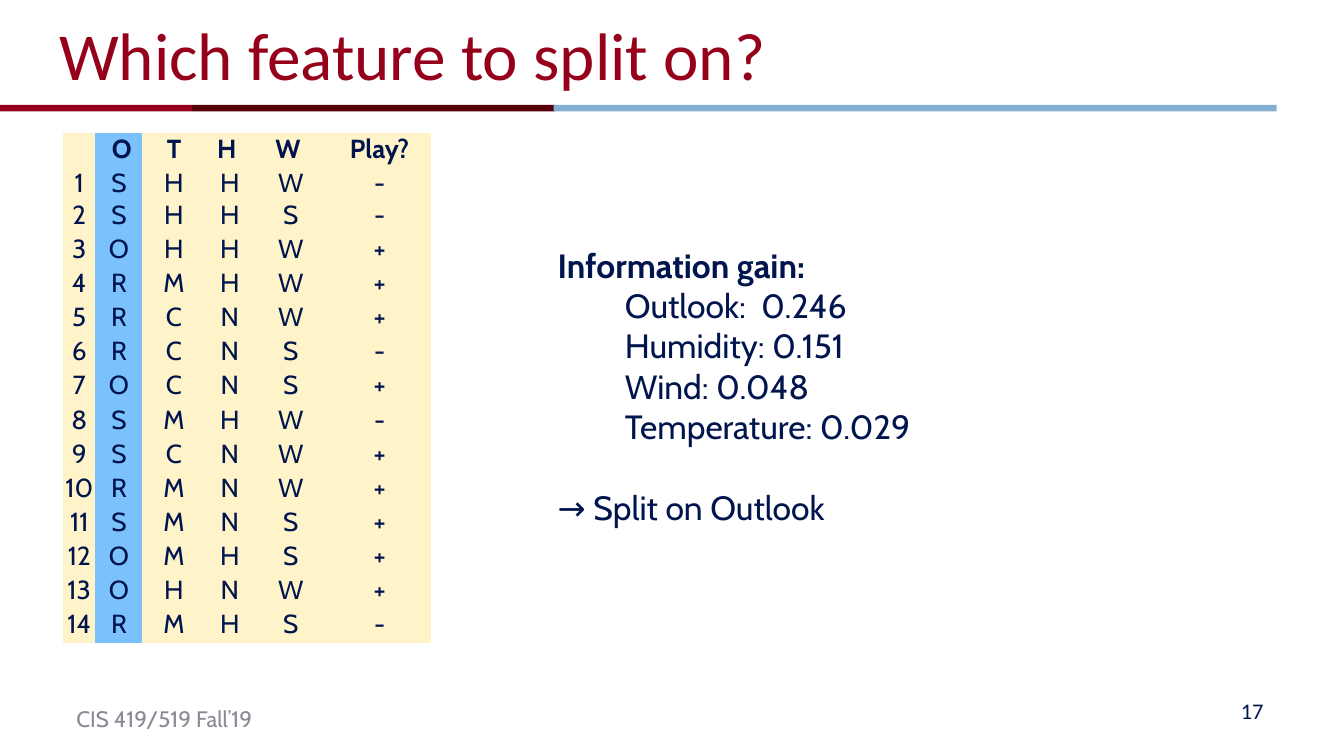
import pptx
import pptx.util
import pptx.dml.color
import pptx.enum.shapes
import pptx.enum.text
import pptx.oxml.ns

Inches = pptx.util.Inches
Pt = pptx.util.Pt
ALIGN = pptx.enum.text.PP_ALIGN
ANCHOR = pptx.enum.text.MSO_ANCHOR

NAVY, CRIMSON, MAROON, BLUE = "00144D", "95001A", "57000A", "82AFD3"
GREY, CREAM, HIGHLIGHT = "898A96", "FFF4C9", "7BC2FC"
NO_GRID_STYLE = "{2D5ABB26-0587-4C30-8999-92F81FD0307C}"

HEADER = ["", " O", "T", "H ", "W ", "Play?"]
DAYS = [
    "SHHW-", "SHHS-", "OHHW+", "RMHW+", "RCNW+", "RCNS-", "OCNS+",
    "SMHW-", "SCNW+", "RMNW+", "SMNS+", "OMHS+", "OHNW+", "RMHS-",
]
COLUMN_WIDTHS = [0.24, 0.35, 0.47, 0.36, 0.55, 0.77]
GAINS = ["Outlook:  0.246", "Humidity: 0.151", "Wind: 0.048", "Temperature: 0.029"]


def rgb(color):
    return pptx.dml.color.RGBColor.from_string(color)


def add_run(p, text, size, font="Cabin", color=NAVY, bold=False):
    r = p.add_run()
    r.text = text
    r.font.size = Pt(size)
    r.font.name = font
    r.font.bold = bold
    r.font.color.rgb = rgb(color)


def clear_margins(frame):
    frame.margin_left = frame.margin_right = 0
    frame.margin_top = frame.margin_bottom = 0


def add_title(s, text):
    title = s.shapes.title
    title.left, title.top = Inches(0.34), Inches(0.02)
    title.width, title.height = Inches(9), Inches(0.76)
    tf = title.text_frame
    tf.vertical_anchor = ANCHOR.MIDDLE
    p = tf.paragraphs[0]
    p.alignment = ALIGN.LEFT
    add_run(p, text, 36, "Calibri", CRIMSON)


def add_bar(s, left, width, color):
    sp = s.shapes.add_shape(
        pptx.enum.shapes.MSO_SHAPE.RECTANGLE,
        Inches(left), Inches(0.78), Inches(width), Inches(0.05))
    sp.shadow.inherit = False
    sp.fill.solid()
    sp.fill.fore_color.rgb = rgb(color)
    sp.line.fill.background()


def add_text_box(s, left, top, width, height, wrap=True):
    sp = s.shapes.add_textbox(Inches(left), Inches(top), Inches(width), Inches(height))
    tf = sp.text_frame
    tf.word_wrap = wrap
    return tf


def fill_cell(cell, text, color, bold):
    clear_margins(cell)
    cell.fill.solid()
    cell.fill.fore_color.rgb = rgb(color)
    p = cell.text_frame.paragraphs[0]
    p.alignment = ALIGN.CENTER
    if text:
        add_run(p, text, 14, bold=bold)
    else:
        p._p.get_or_add_endParaRPr().set("sz", "1400")


def add_days_table(s):
    rows = [HEADER] + [[str(n), *day] for n, day in enumerate(DAYS, 1)]
    table = s.shapes.add_table(
        len(rows), len(HEADER), Inches(0.47), Inches(0.99),
        Inches(sum(COLUMN_WIDTHS)), Inches(3.79)).table
    table.first_row = table.horz_banding = False
    style = table._tbl.tblPr.find(pptx.oxml.ns.qn("a:tableStyleId"))
    style.text = NO_GRID_STYLE
    for column, width in zip(table.columns, COLUMN_WIDTHS):
        column.width = Inches(width)
    for i, values in enumerate(rows):
        table.rows[i].height = Inches(0.23 if i == 1 else (3.79 - 0.23) / 14)
        for j, text in enumerate(values):
            fill_cell(table.cell(i, j), text, HIGHLIGHT if j == 1 else CREAM, i == 0)


def add_gains(s):
    tf = add_text_box(s, 4.15, 1.82, 4.17, 2.12)
    clear_margins(tf)
    p = tf.paragraphs[0]
    hanging = p._p.get_or_add_pPr()
    hanging.set("marL", str(Inches(0.5)))
    hanging.set("indent", str(-Inches(0.5)))
    add_run(p, "Information gain:", 18, bold=True)
    for gain in GAINS:
        p.add_line_break()
        add_run(p, gain, 18)
    p = tf.add_paragraph()
    p.space_before = Pt(22)
    add_run(p, "→ Split on Outlook", 18)


def add_footer(s):
    tf = add_text_box(s, 0.47, 5.2, 1.52, 0.3, wrap=False)
    add_run(tf.paragraphs[0], "CIS 419/519 Fall’19", 12, color=GREY)
    tf = add_text_box(s, 7.17, 5.14, 2.33, 0.3)
    tf.vertical_anchor = ANCHOR.MIDDLE
    p = tf.paragraphs[0]
    p.alignment = ALIGN.RIGHT
    add_run(p, "17", 12, "Calibri")


def main():
    prs = pptx.Presentation()
    prs.slide_width, prs.slide_height = Inches(10), Inches(10 * 9 / 16)
    s = prs.slides.add_slide(prs.slide_layouts[5])
    add_title(s, "Which feature to split on?")
    for left, width, color in [(-0.01, 1.44, CRIMSON), (1.43, 2.7, MAROON), (4.12, 5.38, BLUE)]:
        add_bar(s, left, width, color)
    add_days_table(s)
    add_gains(s)
    add_footer(s)
    prs.save("out.pptx")


if __name__ == "__main__":
    main()
